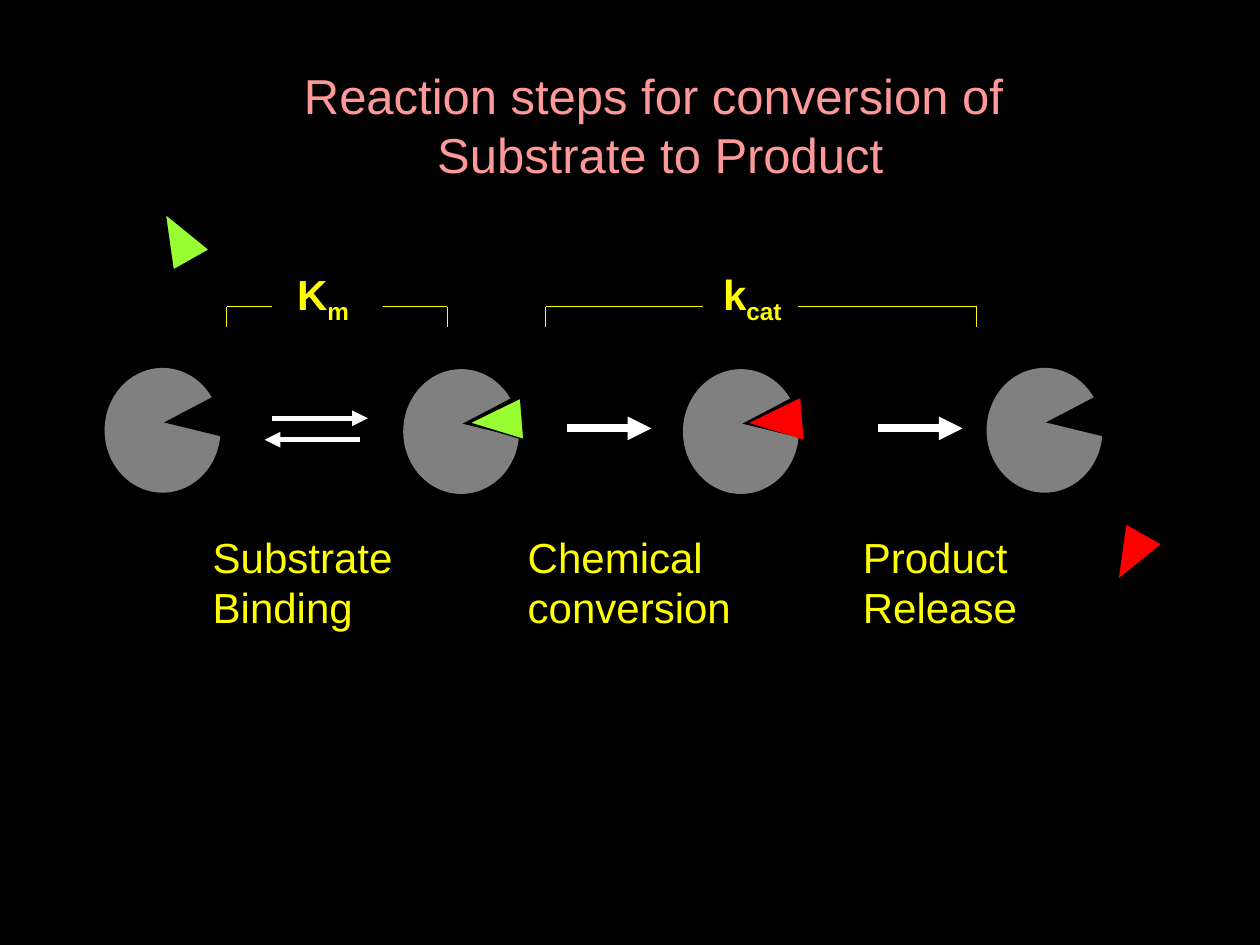
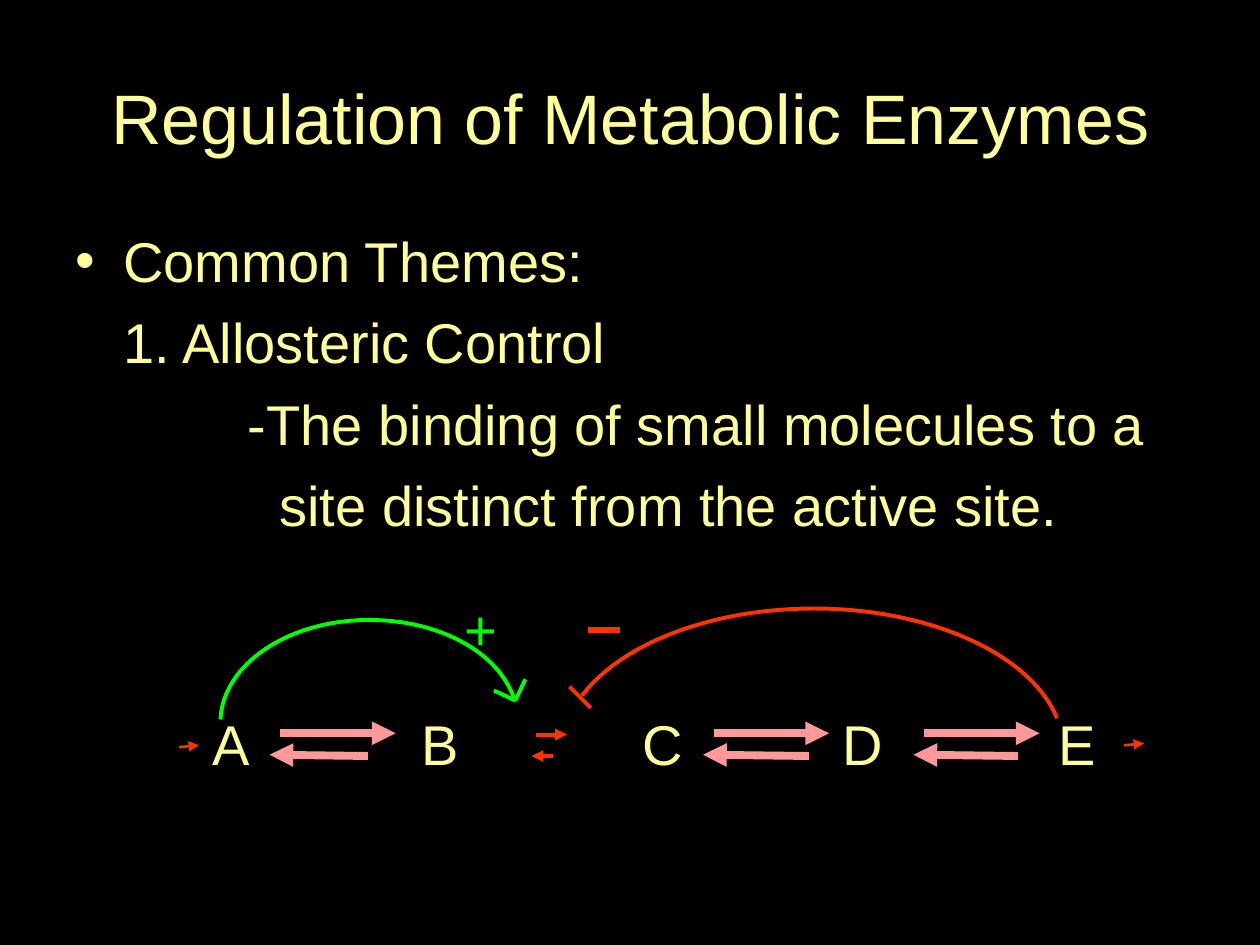
from lxml import etree
from pptx import Presentation
from pptx.dml.color import RGBColor
from pptx.enum.shapes import MSO_CONNECTOR, MSO_SHAPE
from pptx.enum.text import MSO_ANCHOR, PP_ALIGN
from pptx.oxml.ns import qn
from pptx.util import Inches, Pt

BLACK = RGBColor(0x00, 0x00, 0x00)
WHITE = RGBColor(0xFF, 0xFF, 0xFF)
GRAY = RGBColor(0x80, 0x80, 0x80)
YELLOW = RGBColor(0xFF, 0xFF, 0x00)
CREAM = RGBColor(0xFF, 0xFF, 0x99)
PINK = RGBColor(0xFF, 0x99, 0x99)
LIME = RGBColor(0x99, 0xFF, 0x33)
GREEN = RGBColor(0x00, 0xFF, 0x00)
RED = RGBColor(0xFF, 0x00, 0x00)
ORANGE = RGBColor(0xFF, 0x33, 0x00)

ELLIPSE, TRIANGLE = MSO_SHAPE.OVAL, MSO_SHAPE.ISOSCELES_TRIANGLE
STRAIGHT = MSO_CONNECTOR.STRAIGHT
LEFT, CENTER = PP_ALIGN.LEFT, PP_ALIGN.CENTER
TOP, MIDDLE = MSO_ANCHOR.TOP, MSO_ANCHOR.MIDDLE

FONT = "Arial"
COLS, ROWS = 100, 75


def add_run(p, text, size=24, color=YELLOW, bold=False, baseline=0):
    """Append a formatted run; baseline is a percentage of the text size."""
    r = p.add_run()
    r.text = text
    r.font.name, r.font.size, r.font.bold = FONT, Pt(size), bold
    r.font.color.rgb = color
    if baseline:
        r.font._element.set("baseline", str(baseline * 1000))


def bezier(a, b, c, d, steps=24):
    """Points of a cubic curve after its start point."""
    for i in range(1, steps + 1):
        t = i / steps
        u = 1 - t
        yield tuple(u**3 * p + 3 * u * u * t * q + 3 * u * t * t * m + t**3 * n
                    for p, q, m, n in zip(a, b, c, d))


class Deck:
    """Style, current slide and grid of 100 columns by 75 rows."""

    def __init__(self):
        self.prs = Presentation()
        self.prs.slide_width, self.prs.slide_height = Inches(10), Inches(7.5)
        self.s = None

    def new_slide(self):
        self.s = self.prs.slides.add_slide(self.prs.slide_layouts[6])
        fill = self.s.background.fill
        fill.solid()
        fill.fore_color.rgb = BLACK

    def x(self, col):
        return round(self.prs.slide_width * col / COLS)

    def y(self, row):
        return round(self.prs.slide_height * row / ROWS)

    def box(self, col, row, cols, rows):
        return self.x(col), self.y(row), self.x(cols), self.y(rows)

    def text(self, col, row, cols, rows, lines, align=LEFT, anchor=TOP, **fmt):
        """Text box with one paragraph a line."""
        tf = self.s.shapes.add_textbox(*self.box(col, row, cols, rows)).text_frame
        tf.word_wrap = True
        tf.vertical_anchor = anchor
        for i, line in enumerate(lines):
            p = tf.paragraphs[0] if i == 0 else tf.add_paragraph()
            p.alignment = align
            add_run(p, line, **fmt)
        return tf

    def shape(self, kind, col, row, cols, rows, fill, rotation=0, outline=None):
        sp = self.s.shapes.add_shape(kind, *self.box(col, row, cols, rows))
        sp.shadow.inherit = False
        sp.rotation = rotation
        sp.fill.solid()
        sp.fill.fore_color.rgb = fill
        if outline is None:
            sp.line.fill.background()
        else:
            sp.line.color.rgb, sp.line.width = outline, Pt(0.75)

    def line(self, x1, y1, x2, y2, color, width, arrow=False):
        c = self.s.shapes.add_connector(
            STRAIGHT, self.x(x1), self.y(y1), self.x(x2), self.y(y2))
        c.line.color.rgb, c.line.width = color, Pt(width)
        if arrow:
            ln = c.line._get_or_add_ln()
            etree.SubElement(ln, qn("a:tailEnd"), type="triangle")
        etree.SubElement(c._element.spPr, qn("a:effectLst"))

    def curve(self, points, color, width):
        """Open outline through chained cubic curves."""
        path = [points[0]]
        for i in range(0, len(points) - 1, 3):
            path += bezier(*points[i:i + 4])
        path = [(self.x(col), self.y(row)) for col, row in path]
        fb = self.s.shapes.build_freeform(*path[0])
        fb.add_line_segments(path[1:], close=False)
        sp = fb.convert_to_shape()
        sp.shadow.inherit = False
        sp.fill.background()
        sp.line.color.rgb, sp.line.width = color, Pt(width)

    def ligand(self, col, row, fill, rotation, outline=BLACK):
        self.shape(TRIANGLE, col, row, 3.3, 4.2, fill, rotation, outline)

    def enzyme(self, col, row):
        """Disc with a notch for the active site."""
        self.shape(ELLIPSE, col, row, 9.2, 9.9, GRAY)
        self.shape(TRIANGLE, col + 5.25, row + 1.8, 3.4, 4.5, BLACK, 263)

    def bracket(self, left, gap_left, gap_right, right, row=24.35):
        for end, gap in ((left, gap_left), (right, gap_right)):
            self.line(gap, row, end, row, YELLOW, 0.75)
            self.line(end, row, end, row + 1.6, YELLOW, 0.75)

    def constant(self, col, symbol, subscript):
        tf = self.text(col, 20.8, 9, 5.6, [symbol], bold=True)
        add_run(tf.paragraphs[0], subscript, bold=True, baseline=-25)


def reaction_steps(d):
    d.new_slide()

    # Enzyme states, with the ligand in the site of the middle two
    for col, row in ((8.3, 29.2), (32, 29.3), (54.2, 29.3), (78.3, 29.2)):
        d.enzyme(col, row)
    d.ligand(37.7, 31.3, LIME, 265.5)
    d.ligand(59.9, 31.3, RED, 265.5, outline=None)

    # Free substrate and free product
    d.ligand(12.5, 16.7, LIME, 330.5)
    d.ligand(88.1, 42.1, RED, 209.5)

    # Arrows between the states
    for col in (45, 69.7):
        d.line(col, 34, col + 6.7, 34, WHITE, 4.5, arrow=True)
    d.line(21.6, 33.2, 29.2, 33.2, WHITE, 3, arrow=True)
    d.line(28.6, 34.9, 21, 34.9, WHITE, 3, arrow=True)

    # Step names
    for col, lines in ((15.9, ("Substrate", "Binding")),
                       (40.9, ("Chemical", "conversion")),
                       (67.5, ("Product", "Release"))):
        d.text(col, 41.7, 20, 9, lines)

    # Constants over their brackets
    d.constant(56.4, "k", "cat")
    d.bracket(43.3, 55.8, 63.3, 77.5)
    d.constant(22.6, "K", "m")
    d.bracket(18, 21.6, 30.4, 35.5)

    # Title
    d.text(20.4, 4.7, 64, 10.4,
           ("Reaction steps for conversion of ", "Substrate to Product"),
           align=CENTER, size=28, color=PINK)


def regulation(d):
    d.new_slide()
    d.text(5, 3, 90, 12.5, ["Regulation of Metabolic Enzymes"], align=CENTER,
           anchor=MIDDLE, size=40, color=CREAM)

    # Body: left margin of each line, in inches
    body = {"Common Themes:": 0.38,
            "1. Allosteric Control": 0.38,
            "-The binding of small molecules to a": 1.37,
            "site distinct from the active site.": 1.62}
    tf = d.text(5, 17.5, 90, 27.5, body, size=32, color=CREAM)
    for p, margin in zip(tf.paragraphs, body.values()):
        p.space_before = Pt(8)
        p._p.get_or_add_pPr().set("marL", str(Inches(margin)))
    pPr = tf.paragraphs[0]._p.get_or_add_pPr()
    pPr.set("indent", str(-Inches(0.38)))
    etree.SubElement(pPr, qn("a:buFont"), typeface=FONT)
    etree.SubElement(pPr, qn("a:buChar"), char="•")

    # Activation of the middle step by A
    d.curve([(40.8, 55.4), (39.5, 51.7), (34.8, 49.2), (29.3, 49.2),
             (22.9, 49.2), (17.7, 52.7), (17.5, 57.1)], GREEN, 2.25)
    for col, row in ((41.7, 53.9), (39.2, 54.8)):
        d.line(40.9, 55.6, col, row, GREEN, 2.25)
    d.text(35.9, 46.7, 6, 6.4, ["+"], size=32, color=GREEN)

    # Inhibition of the middle step by E
    d.curve([(83.9, 57), (81.8, 51.9), (73.8, 48.3), (64.6, 48.3),
             (56.6, 48.3), (49.4, 51), (46.2, 55.2)], ORANGE, 2.25)
    d.line(45.2, 54.5, 46.9, 56.2, ORANGE, 2.25)
    d.line(46.7, 50, 49.2, 50, ORANGE, 3)

    # Metabolites
    for name, col in zip("ABCDE", (15.9, 32.5, 50, 65.9, 83)):
        d.text(col, 55.8, 6, 6.4, [name], size=32, color=CREAM)

    # Reversible steps: forward start and end, back start and end
    for start, end, back, stop in ((22.2, 31.4, 29.2, 21.4),
                                   (56.7, 65.8, 64.2, 55.8),
                                   (73.3, 82.5, 80.8, 72.5)):
        d.line(start, 58.2, end, 58.2, PINK, 4.5, arrow=True)
        d.line(back, 60, stop, 59.9, PINK, 4.5, arrow=True)

    # Regulated step, then flow into and out of the pathway
    d.line(42.5, 58.3, 45, 58.3, ORANGE, 2.25, arrow=True)
    d.line(43.9, 60, 42.2, 60, ORANGE, 2.25, arrow=True)
    for col, row in ((14.2, 59.3), (89.2, 59.15)):
        d.line(col, row, col + 1.6, row - 0.15, ORANGE, 1.5, arrow=True)


def main():
    d = Deck()
    reaction_steps(d)
    regulation(d)
    d.prs.save("out.pptx")


if __name__ == "__main__":
    main()
